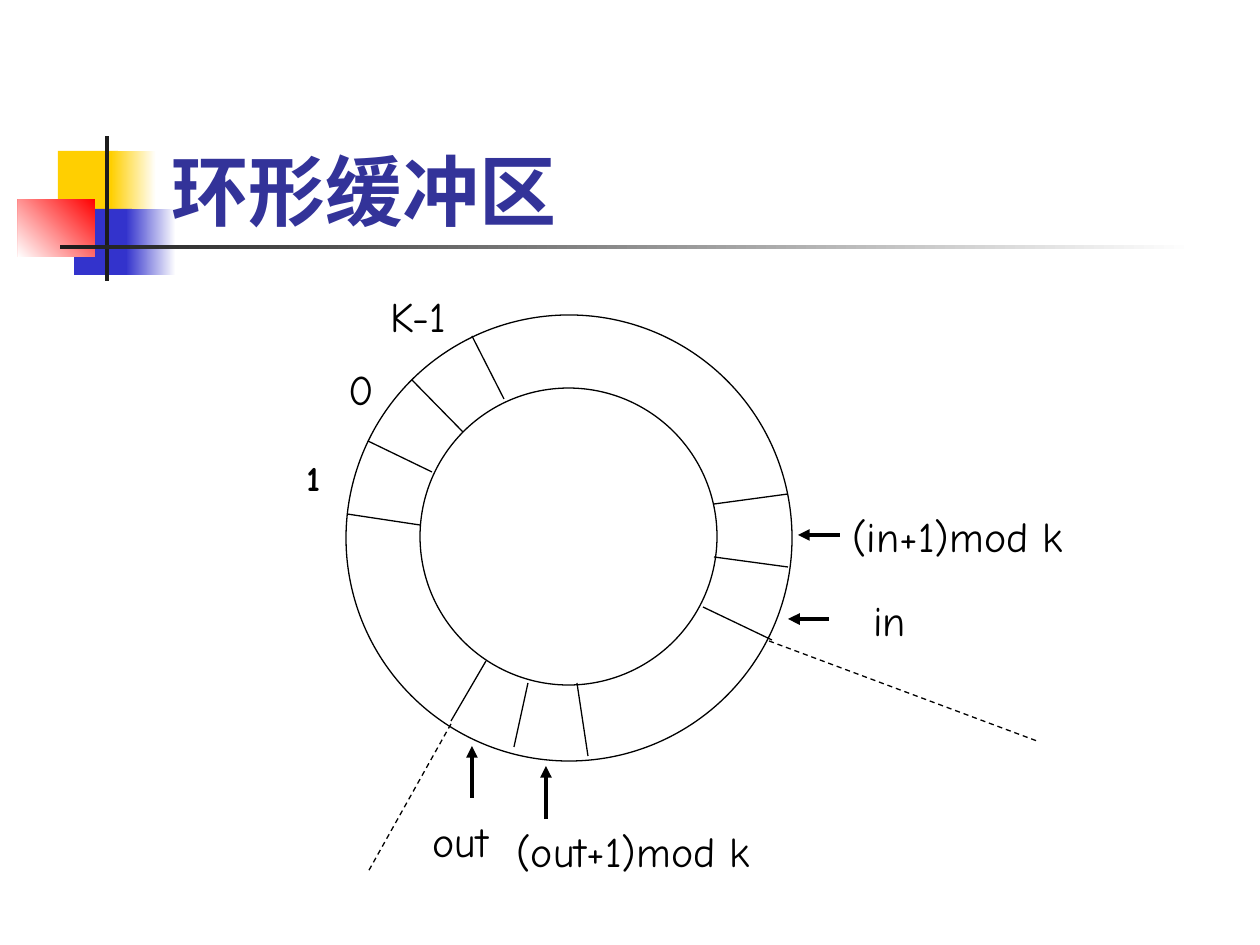
import pptx
import pptx.dml.color
import pptx.enum.dml
import pptx.enum.shapes
import pptx.enum.text
import pptx.oxml
import pptx.oxml.ns
import pptx.util

PX = 914400 / 126  # EMU in one px

COLORS = {
    "white": "FFFFFF", "black": "000000", "ink": "1C1C1C", "title": "333399",
    "yellow": "FFCF01", "blue": "3333CC", "red": "FF0000",
}

TITLE_FONT = {"name": "Cabin", "size": pptx.util.Pt(44), "bold": True}
LABEL_FONT = {"name": "Comic Neue", "size": pptx.util.Pt(24), "bold": False}
BOLD_LABEL_FONT = {"name": "Comic Neue", "size": pptx.util.Pt(20), "bold": True}

SHAPES = pptx.enum.shapes.MSO_SHAPE
ANCHORS = pptx.enum.text.MSO_ANCHOR

# left, top, width, height, colours (two make a gradient), angle
ORNAMENTS = [
    (58, 151, 60, 66, ["yellow"], None),
    (111, 151, 45, 66, ["white", "yellow"], 180),
    (74, 209, 58, 66, ["blue"], None),
    (126, 209, 50, 66, ["white", "blue"], 180),
    (18, 199, 77, 58, ["red", "white"], 225),
    (105, 136, 4, 145, ["ink"], None),
    (60, 245, 1134, 4, ["white", "ink"], 180),
]

# Outer ring first, then the hole: left, top, diameter, fill
RINGS = [(346, 315, 446, None), (420, 388, 297, "white")]

# Slot borders, from outer to inner ring: x1, y1, x2, y2
SLOT_BORDERS = [
    (472, 336, 504, 399), (412, 380, 463, 432), (368, 441, 432, 472),
    (347, 514, 420, 525), (451, 721, 486, 661), (514, 747, 528, 683),
    (588, 756, 577, 683), (772, 640, 703, 607), (788, 567, 714, 557),
    (788, 494, 714, 504),
]

# Limits of the filled part of the buffer
FILLED_LIMITS = [(769, 641, 1037, 741), (451, 724, 368, 872)]

# Pointers to slots, from tail to tip
POINTERS = [
    (840, 535, 798, 535), (829, 619, 788, 619),
    (546, 819, 546, 766), (472, 798, 472, 746),
]

# text, left, top, width, height, font
LABELS = [
    ("K-1", 378, 284, 95, 63, LABEL_FONT),
    ("0", 336, 357, 63, 63, LABEL_FONT),
    ("1", 294, 450, 63, 55, BOLD_LABEL_FONT),
    ("(in+1)mod k", 840, 504, 262, 63, LABEL_FONT),
    ("in", 861, 588, 63, 63, LABEL_FONT),
    ("out", 420, 809, 95, 63, LABEL_FONT),
    ("(out+1)mod k", 504, 819, 305, 63, LABEL_FONT),
]


def px(*lengths):
    return [pptx.util.Emu(round(length * PX)) for length in lengths]


def rgb(color):
    return pptx.dml.color.RGBColor.from_string(COLORS[color])


def set_attributes(target, values):
    for attribute, value in values.items():
        setattr(target, attribute, value)


def add_ornament(slide, left, top, width, height, colors, angle):
    block = slide.shapes.add_shape(SHAPES.RECTANGLE, *px(left, top, width, height))
    block.shadow.inherit = False
    block.line.fill.background()
    if angle is None:
        block.fill.solid()
        block.fill.fore_color.rgb = rgb(colors[0])
        return
    block.fill.gradient()
    block.fill.gradient_angle = angle
    for stop, color in zip(block.fill.gradient_stops, colors):
        stop.color.rgb = rgb(color)


def add_ring(slide, left, top, diameter, fill):
    ring = slide.shapes.add_shape(SHAPES.OVAL, *px(left, top, diameter, diameter))
    ring.shadow.inherit = False
    ring.line.color.rgb = rgb("black")
    ring.line.width = pptx.util.Pt(0.75)
    if fill:
        ring.fill.solid()
        ring.fill.fore_color.rgb = rgb(fill)
    else:
        ring.fill.background()


def add_line(slide, ends, width=0.75, dashed=False, arrow=False):
    line = slide.shapes.add_connector(
        pptx.enum.shapes.MSO_CONNECTOR.STRAIGHT, *px(*ends))
    line.line.color.rgb = rgb("black")
    line.line.width = pptx.util.Pt(width)
    if dashed:
        line.line.dash_style = pptx.enum.dml.MSO_LINE.DASH
    if arrow:
        tip = pptx.oxml.parse_xml(
            f'<a:tailEnd {pptx.oxml.ns.nsdecls("a")} type="triangle"/>')
        line.line._get_or_add_ln().append(tip)
    no_shadow = pptx.oxml.parse_xml(f'<a:effectLst {pptx.oxml.ns.nsdecls("a")}/>')
    line._element.spPr.append(no_shadow)


def add_text(slide, text, left, top, width, height, font,
             color="black", anchor=ANCHORS.TOP):
    box = slide.shapes.add_textbox(*px(left, top, width, height))
    set_attributes(box.text_frame, {"word_wrap": True, "vertical_anchor": anchor})
    run = box.text_frame.paragraphs[0].add_run()
    run.text = text
    set_attributes(run.font, font)
    run.font.color.rgb = rgb(color)


def main():
    deck = pptx.Presentation()
    deck.slide_width, deck.slide_height = px(1260, 945)
    slide = deck.slides.add_slide(deck.slide_layouts[6])

    # Heading with its coloured blocks and rules
    for ornament in ORNAMENTS:
        add_ornament(slide, *ornament)
    add_text(slide, "环形缓冲区", 159, 84, 1074, 158, TITLE_FONT,
             "title", ANCHORS.BOTTOM)

    # Ring buffer and its slots
    for ring in RINGS:
        add_ring(slide, *ring)
    for border in SLOT_BORDERS:
        add_line(slide, border)

    # Pointers, limits and labels
    for pointer in POINTERS:
        add_line(slide, pointer, width=2.25, arrow=True)
    for limit in FILLED_LIMITS:
        add_line(slide, limit, dashed=True)
    for label in LABELS:
        add_text(slide, *label)

    deck.save("out.pptx")


if __name__ == "__main__":
    main()
